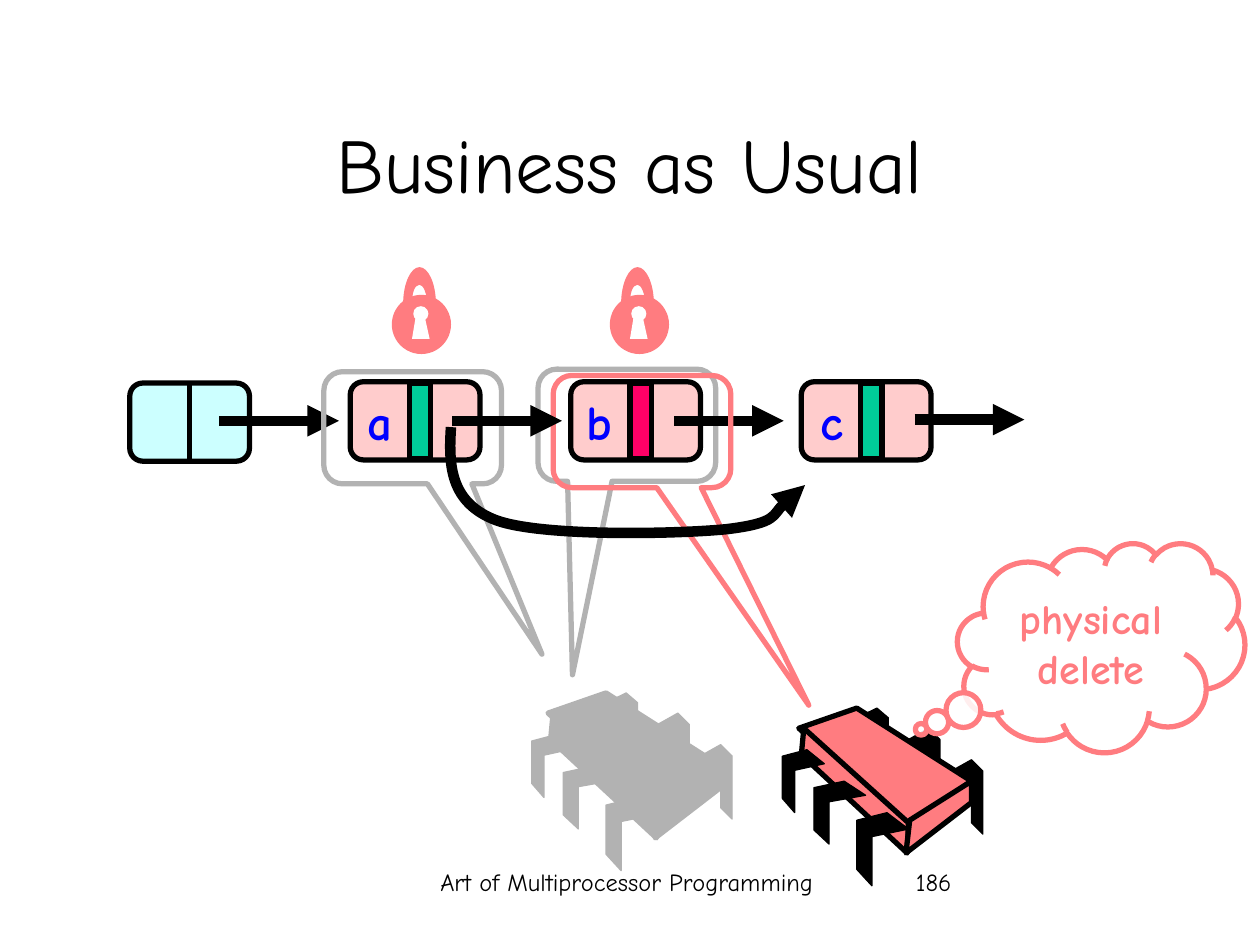
"""Build the slide on physically deleting a node from a linked list."""
from lxml.etree import SubElement
from pptx import Presentation
from pptx.dml.color import RGBColor
from pptx.enum.shapes import MSO_CONNECTOR as Link, MSO_SHAPE as Form
from pptx.enum.text import MSO_ANCHOR as Anchor, MSO_AUTO_SIZE as Fit, PP_ALIGN as Align
from pptx.oxml.ns import qn
from pptx.util import Inches, Pt

FONT = "Comic Neue"
INK = {
    "black": "000000", "white": "FFFFFF", "gray": "B2B2B2", "coral": "FF7C80",
    "pink": "FFCCCC", "aqua": "CCFFFF", "green": "00CC99", "red": "FF0066",
    "blue": "0000FF",
}
TOP = [(0.59, 0), (1.5, 0.58), (0.99, 0.93), (0.13, 0.16)]
SIDE = [(0.17, 0.16), (1, 0.91), (0.99, 1.15), (0.15, 0.37)]
END = [(1.5, 0.58), (1.5, 0.75), (0.98, 1.15), (1.01, 0.89)]
REAR = [(0, 0.09), (0.16, 0), (0.25, 0.09), (0.25, 0.59), (0.16, 0.5),
        (0.16, 0.17), (0, 0.25)]
FRONT = [(0.24, 0), (0.41, 0.13), (0.12, 0.19), (0.12, 0.58), (0, 0.45), (0, 0.06)]
KEY = [(0.16, 0.35), (0.19, 0.17), (0.26, 0.17), (0.3, 0.35)]
LOOP = [(0.16, 0.07), (0.16, -0.01), (0.18, -0.08), (0.22, -0.08),
        (0.25, -0.08), (0.28, -0.01), (0.28, 0.07), (0.35, 0.07),
        (0.35, -0.09), (0.29, -0.22), (0.22, -0.22),
        (0.15, -0.22), (0.09, -0.09), (0.09, 0.07)]
PASS = [(3.58, 3.39), (3.56, 3.69), (3.57, 3.99), (3.94, 4.13),
        (4.3, 4.26), (5.36, 4.24), (5.77, 4.2),
        (6.18, 4.15), (6.26, 3.92), (6.39, 3.85)]


def tint(name):
    """Return the named colour."""
    return RGBColor.from_string(INK[name])


def paint(item, fill=None, line=None, width=3.0):
    """Set fill and outline, and drop the shadow."""
    item.shadow.inherit = False
    if fill:
        item.fill.solid()
        item.fill.fore_color.rgb = tint(fill)
    else:
        item.fill.background()
    if line:
        item.line.color.rgb = tint(line)
        item.line.width = Pt(width)
    else:
        item.line.fill.background()


def write(frame, text, size, color="black", bold=False, align=Align.CENTER):
    """Write one run of text into a frame."""
    para = frame.paragraphs[0]
    para.alignment = align
    run = para.add_run()
    run.text = text
    font = run.font
    font.name, font.size, font.bold = FONT, Pt(size), bold
    font.color.rgb = tint(color)


def label(shapes, box, text, size, wrap=True, **style):
    """Add a text box."""
    frame = shapes.add_textbox(*map(Inches, box)).text_frame
    frame.word_wrap = wrap
    if not wrap:
        frame.auto_size = Fit.SHAPE_TO_FIT_TEXT
    write(frame, text, size, **style)


def block(shapes, form, box, fill=None, line=None, width=3.0, adj=()):
    """Add a preset shape."""
    item = shapes.add_shape(form, *map(Inches, box))
    for i, value in enumerate(adj):
        item.adjustments[i] = value
    paint(item, fill, line, width)
    return item


def shift(points, x, y, wide=1, high=1):
    """Scale points and move them to a place."""
    return [(x + wide * px, y + high * py) for px, py in points]


def trace(shapes, points, fill=None, line=None, width=3.0, close=True, bends=()):
    """Add an outline, with a curve at each index in bends."""
    spots = [(Inches(x), Inches(y)) for x, y in points]
    pen = shapes.build_freeform(*spots[0], scale=1.0)
    pen.add_line_segments(spots[1:], close=close)
    item = pen.convert_to_shape()
    paint(item, fill, line, width)
    steps = list(item._element.iter(qn("a:lnTo")))
    for i in bends:
        curve = steps[i].makeelement(qn("a:cubicBezTo"))
        steps[i].addprevious(curve)
        for step in steps[i:i + 3]:
            curve.append(step[0])
            step.getparent().remove(step)
    return item


def tip(item):
    """Put an arrowhead at the end of a line."""
    SubElement(item.line._get_or_add_ln(), qn("a:tailEnd"), type="triangle")


def wire(shapes, start, end, width=3):
    """Add a straight black connector."""
    item = shapes.add_connector(Link.STRAIGHT, *map(Inches, start + end))
    item.line.color.rgb = tint("black")
    item.line.width = Pt(width)
    SubElement(item._element.spPr, qn("a:effectLst"))
    return item


def arrow(shapes, x, y, size):
    """Add a pointer to the next node."""
    tip(wire(shapes, (x, y), (x + size, y), 6))


def head(shapes):
    """Add the empty first node."""
    box = block(shapes, Form.ROUNDED_RECTANGLE, (1.03, 3.04, 0.95, 0.62),
                "aqua", "black")
    rule = wire(shapes, (1.5, 3.04), (1.5, 3.66))
    rule.begin_connect(box, 0)
    rule.end_connect(box, 2)


def node(shapes, x, text, mark):
    """Add a list node with its letter and mark bar."""
    block(shapes, Form.ROUNDED_RECTANGLE, (x, 3.03, 1.03, 0.62), "pink", "black")
    wire(shapes, (x + 0.48, 3.02), (x + 0.48, 3.66))
    label(shapes, (x + 0.01, 3.06, 0.42, 0.57), text, 28, wrap=False,
          color="blue", bold=True, align=Align.RIGHT)
    block(shapes, Form.RECTANGLE, (x + 0.47, 3.04, 0.17, 0.6), mark, "black")


def call(shapes, x, y, color, dx, dy):
    """Add a callout around a node."""
    block(shapes, Form.ROUNDED_RECTANGULAR_CALLOUT, (x, y, 1.41, 0.89),
          line=color, adj=(dx, dy, 0.167))


def lock(shapes, x, y=2.34):
    """Add a padlock."""
    part = shapes.add_group_shape().shapes
    block(part, Form.OVAL, (x, y, 0.47, 0.47), "coral")
    block(part, Form.OVAL, (x + 0.17, y + 0.09, 0.12, 0.12), "white")
    trace(part, shift(KEY, x, y), "white")
    trace(part, shift(LOOP, x, y), "coral", bends=(0, 3, 7, 10))


def chip(shapes, x, y, body, leg, edge):
    """Add a processor chip on six legs."""
    part = shapes.add_group_shape().shapes
    for dx, dy, high in ((1.34, 0.41, 1), (1, 0.16, 1), (0.59, 0, 0.86)):
        trace(part, shift(REAR, x + dx, y + dy, 1, high), leg, leg, 0.75)
    for face in (TOP, SIDE, END):
        trace(part, shift(face, x, y), body, edge)
    for dx, dy, wide, high in ((0.59, 0.83, 1, 1), (0.25, 0.58, 1, 0.86),
                               (0, 0.33, 0.81, 0.86)):
        trace(part, shift(FRONT, x + dx, y + dy, wide, high), leg, leg, 0.75)


def cloud(shapes):
    """Add the thought cloud."""
    item = block(shapes, Form.CLOUD_CALLOUT, (7.6, 4.31, 2.28, 1.66),
                 "white", "coral", adj=(-0.627, 0.391))
    shade = next(item._element.spPr.iter(qn("a:srgbClr")))
    SubElement(shade, qn("a:alpha"), val="87000")
    item.text_frame.word_wrap = True
    item.text_frame.vertical_anchor = Anchor.MIDDLE
    write(item.text_frame, "physical delete", 24, "coral", True)


def title(slide, text):
    """Place and fill the title."""
    item = slide.shapes.title
    item.left, item.top, item.width, item.height = map(Inches, (0.75, 0.67, 8.5, 1.25))
    item.text_frame.vertical_anchor = Anchor.MIDDLE
    write(item.text_frame, text, 44)


def main():
    """Build and save the slide."""
    deck = Presentation()
    deck.slide_width, deck.slide_height = Inches(10), Inches(7.5)
    slide = deck.slides.add_slide(deck.slide_layouts[5])
    shapes = slide.shapes
    title(slide, "Business as Usual")
    label(shapes, (3.1, 6.83, 3.75, 0.5), "Art of Multiprocessor Programming", 14)
    label(shapes, (7.17, 6.83, 2.08, 0.5), "186", 14, align=Align.LEFT)
    call(shapes, 4.27, 2.93, "gray", -0.306, 2.225)
    block(shapes, Form.OVAL, (6.47, 4.86, 1.09, 1.17), "white", "white", 1)
    head(shapes)
    arrow(shapes, 1.74, 3.34, 0.95)
    chip(shapes, 4.22, 5.5, "gray", "gray", "gray")
    for x, text, mark in ((2.78, "a", "green"), (4.53, "b", "red"), (6.36, "c", "green")):
        node(shapes, x, text, mark)
    for x, y in ((5.35, 3.34), (7.26, 3.33)):
        arrow(shapes, x, y, 0.87)
    call(shapes, 2.57, 2.95, "gray", 0.728, 2.019)
    for x in (4.84, 3.11):
        lock(shapes, x)
    call(shapes, 4.39, 2.98, "coral", 0.939, 2.44)
    chip(shapes, 6.21, 5.62, "coral", "black", "black")
    cloud(shapes)
    arrow(shapes, 3.59, 3.34, 0.87)
    tip(trace(shapes, PASS, line="black", width=6, close=False, bends=(0, 3, 6)))
    deck.save("out.pptx")


if __name__ == "__main__":
    main()
